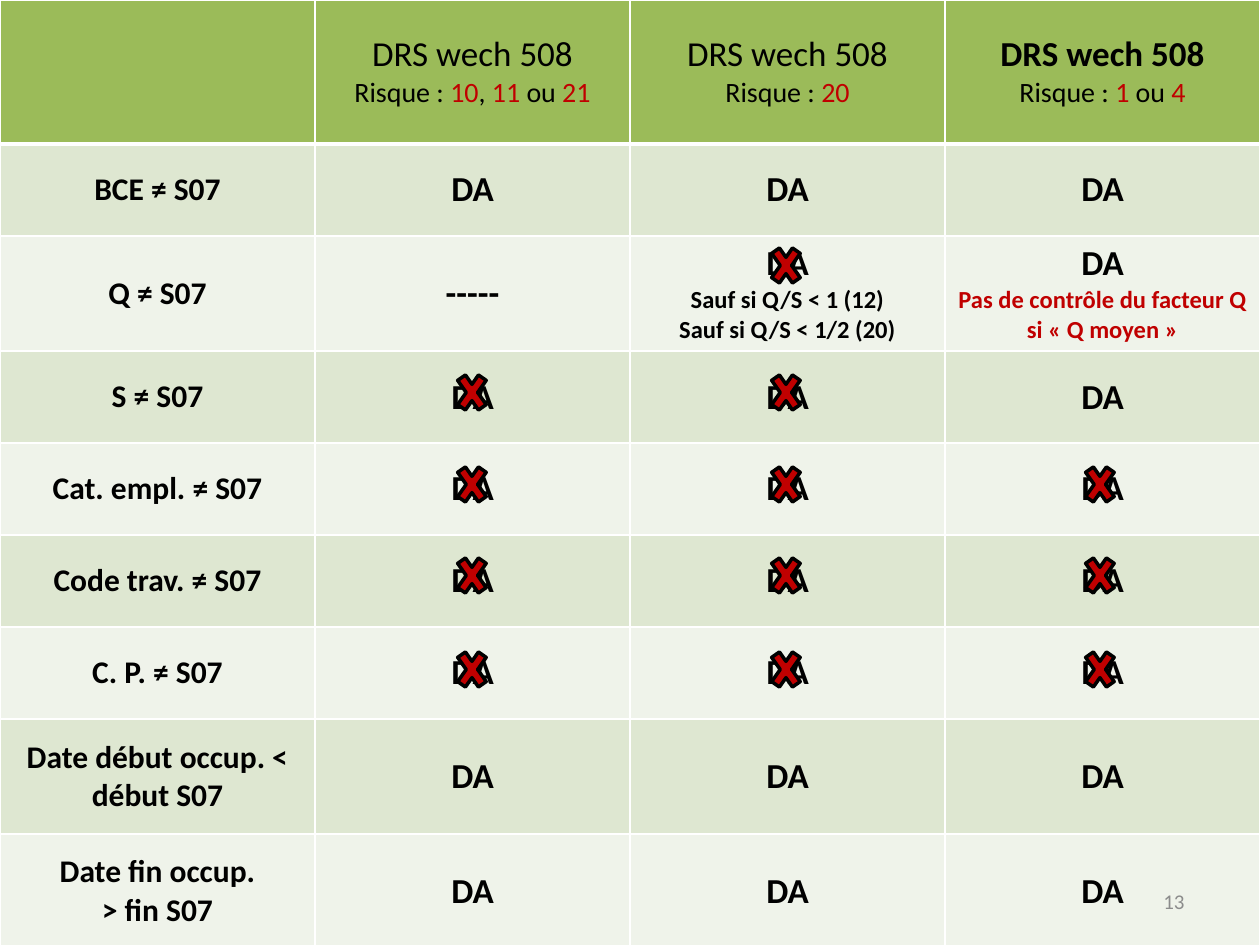
import pptx
import pptx.util
import pptx.dml.color
import pptx.enum.shapes
import pptx.enum.text
import pptx.oxml
import pptx.oxml.ns
from dataclasses import dataclass

PX_PER_INCH = 126
ALIGN = pptx.enum.text.PP_ALIGN
MIDDLE = pptx.enum.text.MSO_ANCHOR.MIDDLE


@dataclass(frozen=True)
class Theme:
    font: str = "Calibri"
    ink: str = "000000"
    red: str = "C00000"
    gray: str = "8C8C8C"
    border: str = "FFFFFF"
    header: str = "9BBB59"
    bands: tuple = ("DEE7D1", "EFF3EA")
    title: int = 20
    risk: int = 16
    label: int = 18
    note: int = 14
    number: int = 12


T = Theme()

COL_WIDTH = 315
ROW_HEIGHTS = [144, 92, 112, 92, 92, 92, 92, 115, 115]

# Header lines: title, title weight, risk line with red parts between bars
HEADERS = [
    ("DRS wech 508", False, "Risque : |10|, |11 |ou| 21|"),
    ("DRS wech 508", False, "Risque : |20|"),
    ("DRS wech 508", True, "Risque : |1| ou |4|"),
]

# Row label lines, then one value per column; X marks a crossed-out DA
ROWS = [
    (["BCE ≠ S07"], ["DA", "DA", "DA"]),
    (["Q ≠ S07"], ["-----", "X", "DA"]),
    (["S ≠ S07"], ["X", "X", "DA"]),
    (["Cat. empl. ≠ S07"], ["X", "X", "X"]),
    (["Code trav. ≠ S07"], ["X", "X", "X"]),
    (["C. P. ≠ S07"], ["X", "X", "X"]),
    (["Date début occup. < début S07"], ["DA", "DA", "DA"]),
    (["Date fin occup.", "> fin S07"], ["DA", "DA", "DA"]),
]

# Extra lines under a value, by (row, column) in ROWS
NOTES = {
    (1, 1): ["Sauf si Q/S < 1 (12)", "Sauf si Q/S < 1/2 (20)"],
    (1, 2): ["|Pas de contrôle du facteur Q|", "|si « Q moyen »|"],
}

# Crosses: left edge of the first column, step, and top edge by row in ROWS
CROSS_LEFT, CROSS_STEP = 452, 314
CROSS_TOPS = {1: 237, 2: 364, 3: 456, 4: 547, 5: 641}
CROSS_SIZE = (40, 57)


def px(n):
    return pptx.util.Emu(round(n * 914400 / PX_PER_INCH))


def rgb(value):
    return pptx.dml.color.RGBColor.from_string(value)


def write(tf, lines, color=T.ink, align=ALIGN.CENTER):
    """Write (text, size, bold) lines; parts between bars are red."""
    for i, (text, size, bold) in enumerate(lines):
        p = tf.add_paragraph() if i else tf.paragraphs[0]
        p.alignment = align
        for j, part in enumerate(text.split("|")):
            if not part:
                continue
            r = p.add_run()
            r.text = part
            fmt = {"name": T.font, "size": pptx.util.Pt(size), "bold": bold}
            for key, value in fmt.items():
                setattr(r.font, key, value)
            r.font.color.rgb = rgb(T.red if j % 2 else color)


def set_borders(cell, bottom):
    tc_pr = cell._tc.get_or_add_tcPr()
    widths = {"lnL": 1, "lnR": 1, "lnT": 1, "lnB": bottom}
    for i, (tag, width) in enumerate(widths.items()):
        tc_pr.insert(i, pptx.oxml.parse_xml(
            f'<a:{tag} {pptx.oxml.ns.nsdecls("a")} w="{pptx.util.Pt(width)}">'
            f'<a:solidFill><a:srgbClr val="{T.border}"/></a:solidFill></a:{tag}>'))


def fill_cell(cell, lines, fill, bottom=1):
    cell.fill.solid()
    cell.fill.fore_color.rgb = rgb(fill)
    cell.vertical_anchor = MIDDLE
    write(cell.text_frame, lines)
    set_borders(cell, bottom)


def add_control_table(s):
    table = s.shapes.add_table(len(ROW_HEIGHTS), 4, 0, 0, px(4 * COL_WIDTH),
                               px(sum(ROW_HEIGHTS))).table
    for col in table.columns:
        col.width = px(COL_WIDTH)
    for row, height in zip(table.rows, ROW_HEIGHTS):
        row.height = px(height)

    # Header row
    fill_cell(table.cell(0, 0), [], T.header, bottom=3)
    for c, (title, bold, risk) in enumerate(HEADERS, 1):
        lines = [(title, T.title, bold), (risk, T.risk, False)]
        fill_cell(table.cell(0, c), lines, T.header, bottom=3)

    # Banded rows
    for r, (labels, values) in enumerate(ROWS):
        band = T.bands[r % 2]
        fill_cell(table.cell(r + 1, 0), [(t, T.label, True) for t in labels], band)
        for c, value in enumerate(values):
            lines = [("DA" if value == "X" else value, T.title, True)]
            lines += [(t, T.note, True) for t in NOTES.get((r, c), [])]
            fill_cell(table.cell(r + 1, c + 1), lines, band)


def add_cross(s, left, top):
    sp = s.shapes.add_shape(pptx.enum.shapes.MSO_SHAPE.MATH_MULTIPLY,
                            px(left), px(top), *map(px, CROSS_SIZE))
    sp.shadow.inherit = False
    sp.fill.solid()
    sp.fill.fore_color.rgb = rgb(T.red)
    sp.line.color.rgb = rgb(T.ink)
    sp.line.width = pptx.util.Pt(2)


def add_crosses(s):
    for r, (_, values) in enumerate(ROWS):
        for c, value in enumerate(values):
            if value == "X":
                add_cross(s, CROSS_LEFT + c * CROSS_STEP, CROSS_TOPS[r])


def add_slide_number(s, text):
    tf = s.shapes.add_textbox(px(903), px(876), px(294), px(50)).text_frame
    tf.word_wrap = True
    tf.vertical_anchor = MIDDLE
    write(tf, [(text, T.number, False)], T.gray, ALIGN.RIGHT)


def main():
    prs = pptx.Presentation()
    prs.slide_width, prs.slide_height = px(1260), px(945)
    s = prs.slides.add_slide(prs.slide_layouts[6])
    add_control_table(s)
    add_crosses(s)
    add_slide_number(s, "13")
    prs.save("out.pptx")


if __name__ == "__main__":
    main()
